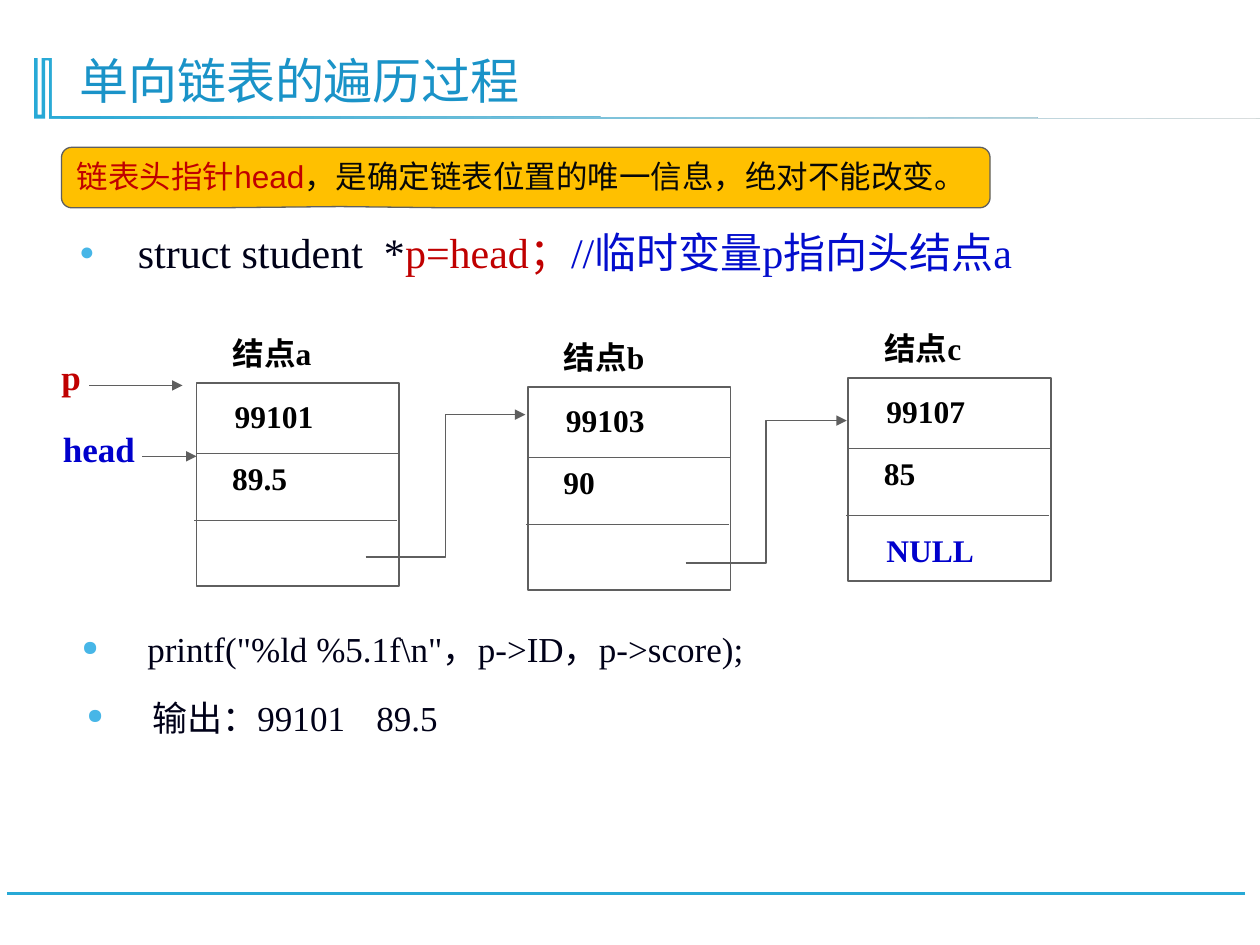
from dataclasses import dataclass
from lxml import etree
from pptx import Presentation
from pptx import util as u
from pptx.dml import color
from pptx.enum import shapes, text
from pptx.oxml import ns


@dataclass(frozen=True)
class Theme:
    serif: str = "Times New Roman"
    sans: str = "Arial"
    sky: str = "28A9D6"
    pale: str = "E0E0E0"
    title: str = "1A93C8"
    dot: str = "47B6E7"
    ink: str = "000118"
    black: str = "000000"
    note: str = "080808"
    red: str = "C00000"
    blue: str = "0000CC"
    hint: str = "030DCD"
    grey: str = "5F5F5F"
    white: str = "FFFFFF"
    gold: str = "FFC000"
    head: int = 28
    lead: int = 24
    mid: int = 20
    small: int = 18


def rgb(code):
    return color.RGBColor.from_string(code)


def sub(node, tag, **attrs):
    return etree.SubElement(node, ns.qn(tag), attrs)


def place(shape, box):
    for name, value in zip(("left", "top", "width", "height"), box):
        setattr(shape, name, u.Cm(value))


class Deck:
    def __init__(self, theme):
        self.look = theme
        self.file = Presentation()
        self.file.slide_width = u.Cm(25.4)
        self.file.slide_height = u.Cm(19.05)
        self.page = self.file.slides.add_slide(self.file.slide_layouts[1])

    def words(self, shape, runs, size, font=None, bold=False, anchor="TOP",
              indent=0, bullet=False, tab=0, space=1.0):
        frame = shape.text_frame
        form = {"word_wrap": True, "auto_size": text.MSO_AUTO_SIZE.NONE,
                "vertical_anchor": getattr(text.MSO_ANCHOR, anchor),
                "margin_left": u.Cm(0.25), "margin_right": u.Cm(0.25),
                "margin_top": u.Cm(0.13), "margin_bottom": u.Cm(0.13)}
        for name, value in form.items():
            setattr(frame, name, value)
        para = frame.paragraphs[0]
        props = para._p.get_or_add_pPr()
        props.set("marL", str(u.Cm(indent)))
        props.set("indent", str(-u.Cm(indent) if bullet else 0))
        if bullet:
            sub(sub(props, "a:buClr"), "a:srgbClr", val=self.look.dot)
            sub(props, "a:buSzPct", val="60000")
            sub(props, "a:buChar", char="●")
        if tab:
            sub(sub(props, "a:tabLst"), "a:tab", pos=str(u.Cm(tab)), algn="l")
        form = {"alignment": text.PP_ALIGN.LEFT, "line_spacing": space,
                "space_before": u.Pt(0), "space_after": u.Pt(0)}
        for name, value in form.items():
            setattr(para, name, value)
        for part, tint in runs:
            run = para.add_run()
            run.text = part
            form = {"name": font or self.look.serif, "size": u.Pt(size), "bold": bold}
            for name, value in form.items():
                setattr(run.font, name, value)
            run.font.color.rgb = rgb(tint)

    def title(self, box, words):
        shape = self.page.shapes.title
        place(shape, box)
        self.words(shape, [(words, self.look.title)], self.look.head,
                   anchor="BOTTOM", space=0.9)

    def body(self, box, runs, indent):
        shape = self.page.placeholders[1]
        place(shape, box)
        self.words(shape, runs, self.look.lead, indent=indent, bullet=True, space=0.9)

    def label(self, box, words, tint, size, **form):
        shape = self.page.shapes.add_textbox(*map(u.Cm, box))
        self.words(shape, [(words, tint)], size, **form)

    def item(self, box, words, tab=0):
        self.label(box, words, self.look.ink, self.look.mid, indent=1.32,
                   bullet=True, tab=tab, space=0.9)

    def shape(self, kind, box, fill, width):
        shape = self.page.shapes.add_shape(kind, *map(u.Cm, box))
        shape.shadow.inherit = False
        shape.fill.solid()
        shape.fill.fore_color.rgb = rgb(fill)
        shape.line.color.rgb = rgb(self.look.grey)
        shape.line.width = u.Pt(width)
        return shape

    def line(self, ends, tint=None, width=0.75, arrow=False, bent=False):
        kind = shapes.MSO_CONNECTOR.ELBOW if bent else shapes.MSO_CONNECTOR.STRAIGHT
        line = self.page.shapes.add_connector(kind, *map(u.Cm, ends))
        line.line.color.rgb = rgb(tint or self.look.grey)
        line.line.width = u.Pt(width)
        props = line._element.spPr
        if arrow:
            sub(props.find(ns.qn("a:ln")), "a:tailEnd", type="triangle")
        sub(props, "a:effectLst")

    def mark(self, points):
        first, *rest = [tuple(map(u.Cm, point)) for point in points]
        build = self.page.shapes.build_freeform(*first)
        build.add_line_segments(rest, close=True)
        shape = build.convert_to_shape()
        shape.shadow.inherit = False
        shape.line.fill.background()
        shape.fill.gradient()
        shape.fill.gradient_angle = 0
        for stop, tint in zip(shape.fill.gradient_stops, (self.look.sky, self.look.pale)):
            stop.color.rgb = rgb(tint)

    def node(self, left, top, name, cells):
        side = 4.09
        self.shape(shapes.MSO_SHAPE.RECTANGLE, (left, top, side, side), self.look.white, 1)
        for dx, dy in ((0, 1.42), (-0.04, 2.77)):
            self.line((left + dx, top + dy, left + dx + side, top + dy))
        form = {"size": self.look.small, "bold": True}
        self.label((left, top - 1.12, side, 1.02), name, self.look.black,
                   indent=0.48, **form)
        for (dx, dy), (words, tint) in zip(((0.2, 0.15), (0.15, 1.4), (0.2, 2.95)), cells):
            self.label((left + dx, top + dy, 3.66, 0.97), words, tint, indent=0.32, **form)


def main():
    look = Theme()
    deck = Deck(look)
    deck.line((25.1, 18.01, 0.15, 18.01), look.sky, 1.25)
    deck.mark([(1.04, 1.17), (1.04, 2.34), (3.56, 2.34), (25.4, 2.39), (0.99, 2.39),
               (0.99, 1.22), (0.91, 1.22), (0.91, 2.39), (0.69, 2.39), (0.69, 1.17),
               (0.76, 1.17), (0.76, 2.31), (0.84, 2.31), (0.84, 1.17)])
    deck.title((1.35, 0.71, 22.48, 1.63), "单向链表的遍历过程")
    deck.body((1.35, 4.55, 22.48, 1.55),
              [("struct student  *", look.ink), ("p=head；", look.red),
               ("//临时变量p指向头结点a", look.hint)], 1.18)

    nodes = [(3.96, 7.72, "结点a", ("99101", "89.5")),
             (10.64, 7.8, "结点b", ("99103", "90")),
             (17.1, 7.62, "结点c", ("99107", "85"))]
    for left, top, name, cells in nodes:
        row = [(cell, look.black) for cell in cells]
        if name == "结点c":
            row.append(("NULL", look.blue))
        deck.node(left, top, name, row)
    for ends in ((7.37, 11.23, 10.59, 8.36), (13.82, 11.35, 17.07, 8.48)):
        deck.line(ends, arrow=True, bent=True)

    for box, words, tint in (((0.99, 7.04, 2.72, 1.12), "p", look.red),
                             ((1.02, 8.48, 2.36, 1.12), "head", look.blue)):
        deck.label(box, words, tint, look.mid, bold=True)
    for ends in ((1.8, 7.77, 3.68, 7.77), (2.87, 9.2, 3.96, 9.2)):
        deck.line(ends, arrow=True)

    deck.item((1.4, 12.62, 22.48, 1.22), 'printf("%ld %5.1f\\n"，p->ID，p->score);')
    deck.item((1.5, 14, 22.48, 1.55), "输出：99101\t89.5", tab=5.84)

    note = deck.shape(shapes.MSO_SHAPE.ROUNDED_RECTANGULAR_CALLOUT,
                      (1.24, 2.97, 18.72, 1.22), look.gold, 0.75)
    for spot, value in enumerate((-0.2, 0.48, 0.17)):
        note.adjustments[spot] = value
    deck.words(note, [("链表头指针head", look.red),
                      ("，是确定链表位置的唯一信息，绝对不能改变。", look.note)],
               look.small, font=look.sans)
    deck.file.save("out.pptx")


if __name__ == "__main__":
    main()
